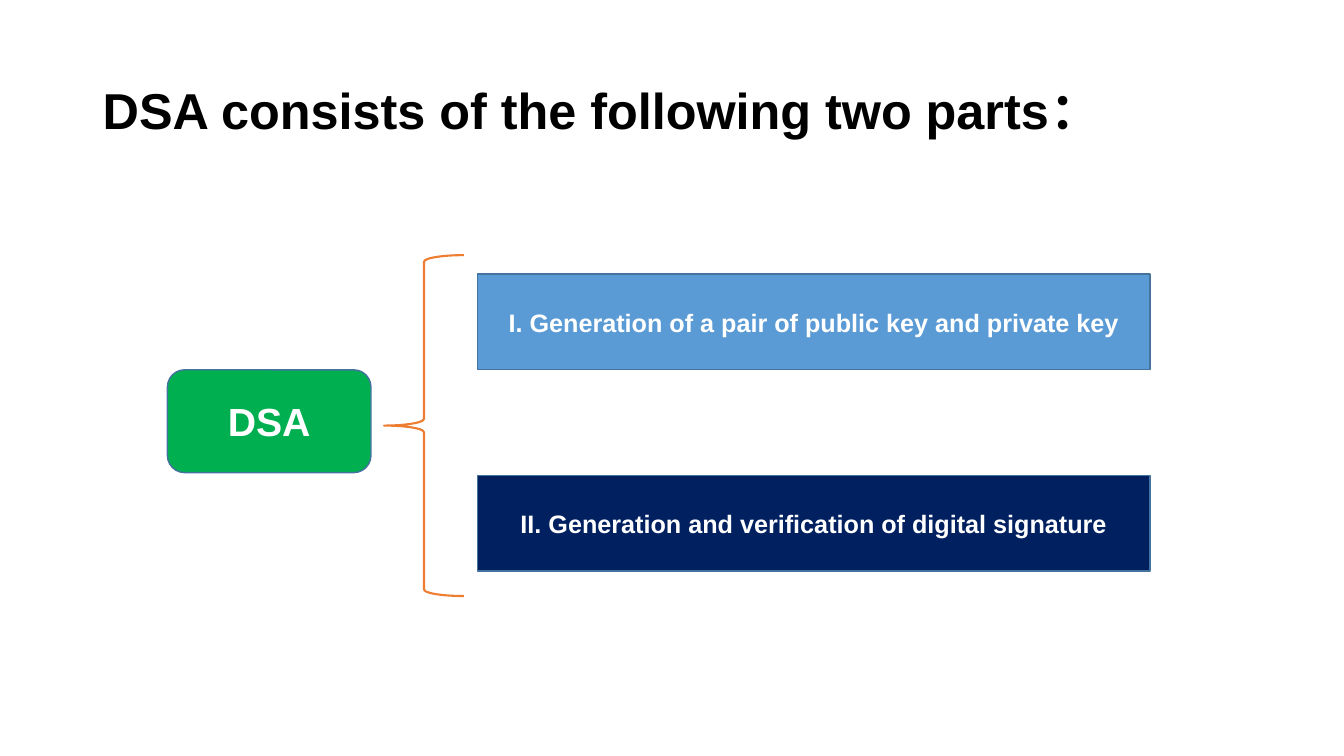
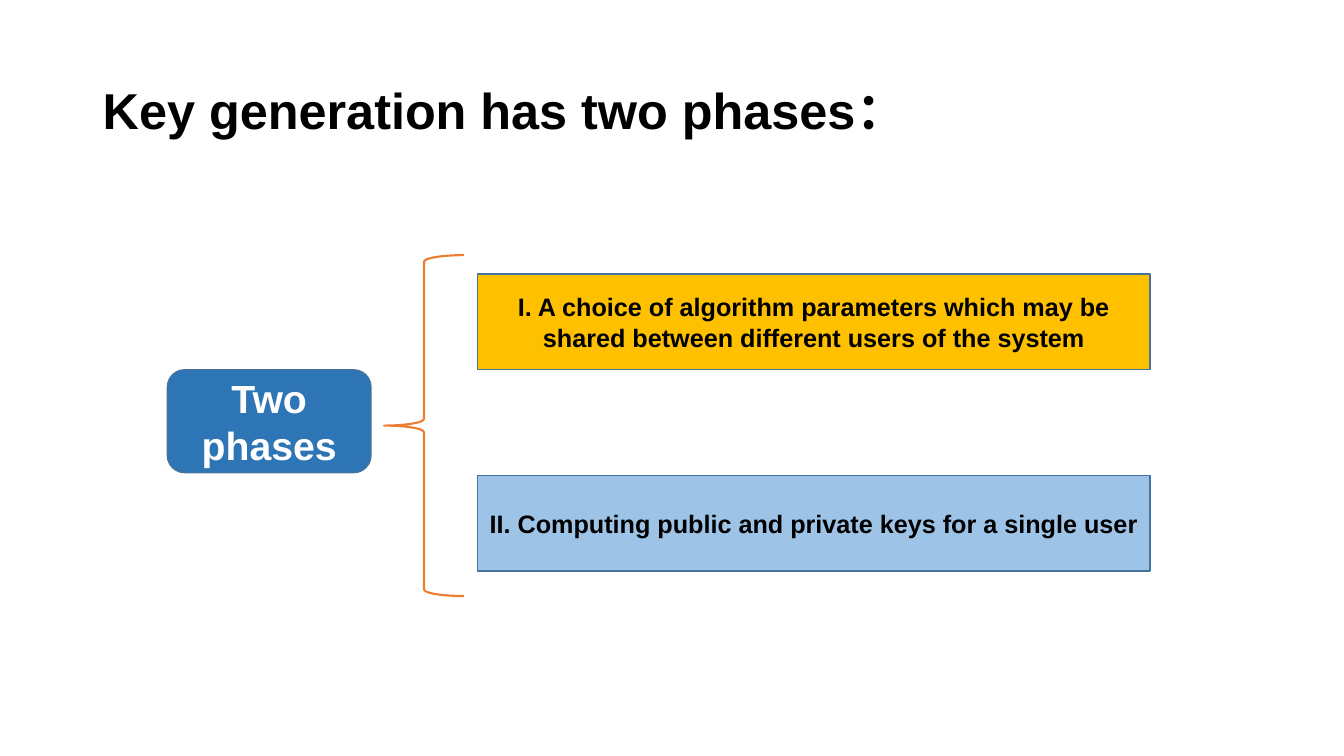
"""Build two slides that each split one topic into two parts."""
from dataclasses import dataclass

from pptx import Presentation
from pptx.dml.color import RGBColor
from pptx.enum import shapes, text
from pptx.util import Cm, Pt


@dataclass(frozen=True)
class Theme:
    """Colours, font and type sizes shared by the slides."""
    font: str = "Arial"
    title_size: int = 36
    topic_size: int = 28
    part_size: int = 18
    black: str = "000000"
    white: str = "FFFFFF"
    outline: str = "43739E"
    brace: str = "ED7D31"
    green: str = "00B050"
    blue: str = "2E75B6"
    sky: str = "5B9BD5"
    navy: str = "002060"
    amber: str = "FFC000"
    pale: str = "9DC3E6"


THEME = Theme()
TITLE_AREA = (2.34, 1.02, 29.21, 3.68)
TOPIC_AREA = (4.22, 9.32, 5.13, 2.59)
BRACE_AREA = (9.68, 6.43, 2.01, 8.59)
PART_LEFT, PART_TOP, PART_WIDTH, PART_HEIGHT = 12.04, 6.91, 16.94, 2.41
PART_STEP = 5.07


def write(box, lines, size, color, align):
    """Fill a box with bold paragraphs, centred vertically."""
    frame = box.text_frame
    frame.word_wrap = True
    frame.vertical_anchor = text.MSO_ANCHOR.MIDDLE
    frame.text = "\n".join(lines)
    for para in frame.paragraphs:
        para.alignment = align
        para.font.name = THEME.font
        para.font.size = Pt(size)
        para.font.bold = True
        para.font.color.rgb = RGBColor.from_string(color)


def add_title(page, title):
    """Add the slide title."""
    box = page.shapes.add_textbox(*map(Cm, TITLE_AREA))
    write(box, [title], THEME.title_size, THEME.black, text.PP_ALIGN.LEFT)
    box.text_frame.paragraphs[0].line_spacing = 0.9


def add_outlined(page, kind, area, line_color, line_width):
    """Add a preset shape with an outline and no shadow."""
    shape = page.shapes.add_shape(kind, *map(Cm, area))
    shape.shadow.inherit = False
    shape.line.color.rgb = RGBColor.from_string(line_color)
    shape.line.width = Pt(line_width)
    return shape


def add_box(page, kind, area, lines, size, fill, color):
    """Add a filled box with centred text."""
    box = add_outlined(page, kind, area, THEME.outline, 1)
    box.fill.solid()
    box.fill.fore_color.rgb = RGBColor.from_string(fill)
    write(box, lines, size, color, text.PP_ALIGN.CENTER)


def add_brace(page):
    """Add the brace that joins the topic to its parts."""
    brace = add_outlined(page, shapes.MSO_SHAPE.LEFT_BRACE, BRACE_AREA,
                         THEME.brace, 1.5)
    brace.fill.background()


def add_split_slide(deck, title, topic, topic_fill, parts, part_color):
    """Add a slide with a topic, a brace and a column of parts."""
    page = deck.slides.add_slide(deck.slide_layouts[6])
    add_title(page, title)
    add_box(page, shapes.MSO_SHAPE.ROUNDED_RECTANGLE, TOPIC_AREA, topic,
            THEME.topic_size, topic_fill, THEME.white)
    add_brace(page)
    for index, (label, fill) in enumerate(parts):
        area = (PART_LEFT, PART_TOP + index * PART_STEP,
                PART_WIDTH, PART_HEIGHT)
        add_box(page, shapes.MSO_SHAPE.RECTANGLE, area, [label],
                THEME.part_size, fill, part_color)


def main():
    """Build and save the deck."""
    deck = Presentation()
    deck.slide_width, deck.slide_height = Cm(33.87), Cm(19.05)
    add_split_slide(
        deck, "DSA consists of the following two parts：",
        ["DSA"], THEME.green,
        [("I. Generation of a pair of public key and private key", THEME.sky),
         ("II. Generation and verification of digital signature", THEME.navy)],
        THEME.white)
    add_split_slide(
        deck, "Key generation has two phases：",
        ["Two", "phases"], THEME.blue,
        [("I. A choice of algorithm parameters which may be shared "
          "between different users of the system", THEME.amber),
         ("II. Computing public and private keys for a single user",
          THEME.pale)],
        THEME.black)
    deck.save("out.pptx")


main()
